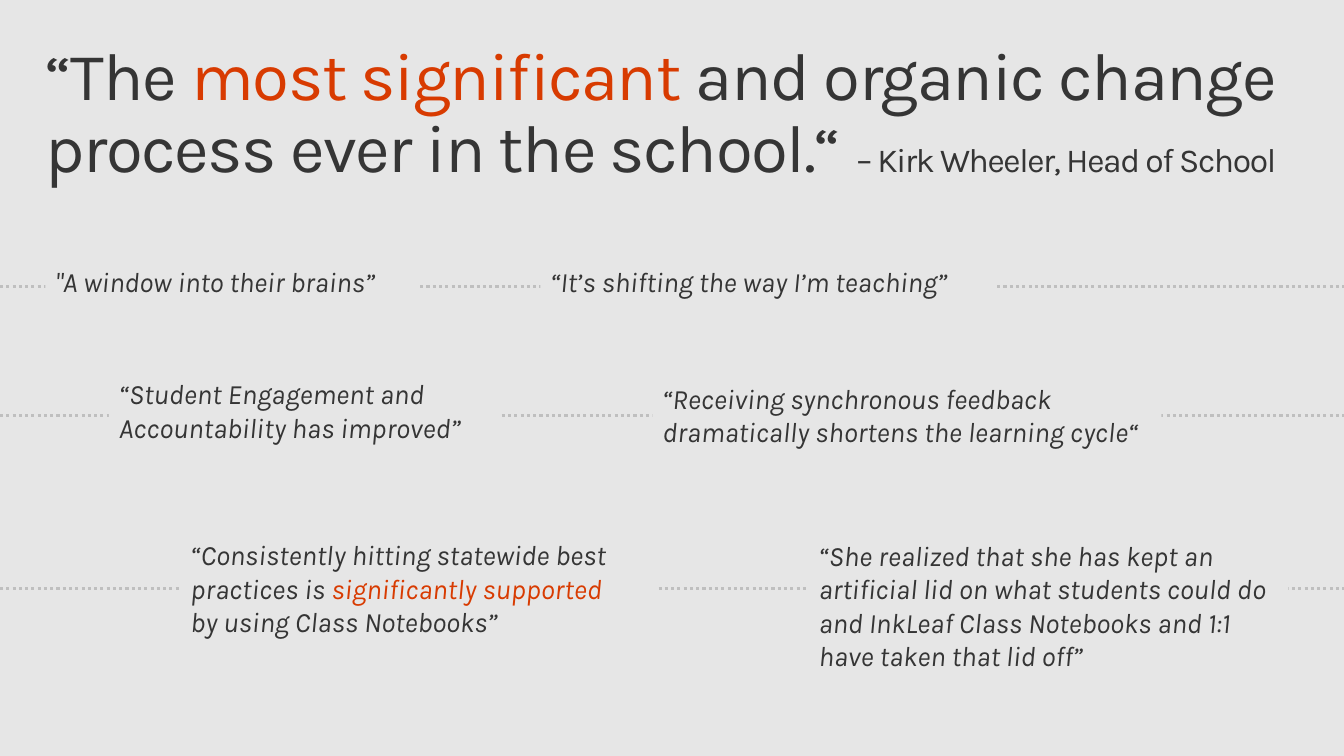
from lxml import etree
from pptx import Presentation
from pptx.dml.color import RGBColor
from pptx.enum import dml, shapes, text
from pptx.oxml import ns
from pptx.util import Inches, Pt

FONT = "Karla"
DARK = RGBColor(0x35, 0x35, 0x35)
ACCENT = RGBColor(0xD8, 0x3B, 0x01)
BACKGROUND = RGBColor(0xE6, 0xE6, 0xE6)
RULE = RGBColor(0xBF, 0xBF, 0xBF)

SLIDE_WIDTH = 13.33
RULE_HEIGHTS = (2.84, 4.12, 5.84)
TOP, MIDDLE = text.MSO_ANCHOR.TOP, text.MSO_ANCHOR.MIDDLE

HEADLINE = [
    ("“The ", DARK, 48),
    ("most significant ", ACCENT, 48),
    ("and organic\u00a0change process ever in the school.“ ", DARK, 48),
    ("– Kirk Wheeler, Head of School", DARK, 24),
]

QUOTES = [
    ((0.45, 2.57, 3.7, 0.44), MIDDLE, [("\"A window into their brains”", DARK)]),
    ((5.36, 2.57, 4.51, 0.44), MIDDLE, [("“It’s shifting the way I’m teaching”", DARK)]),
    ((1.08, 3.69, 3.88, 0.77), TOP,
     [("“Student Engagement and Accountability has improved”", DARK)]),
    ((6.47, 3.73, 5.05, 0.77), MIDDLE,
     [("“Receiving synchronous feedback dramatically shortens the learning cycle“", DARK)]),
    ((1.79, 5.28, 4.71, 1.11), MIDDLE,
     [("“Consistently hitting statewide best practices is ", DARK),
      ("significantly supported", ACCENT),
      ("\nby using Class Notebooks”", DARK)]),
    ((8.02, 5.28, 4.76, 1.45), MIDDLE,
     [("“She realized that she has kept an artificial lid on what students could do "
       "and InkLeaf Class Notebooks and 1:1 have taken that lid off”", DARK)]),
]


def add_run(paragraph, words, color, size, italic=False):
    if words.startswith("\n"):
        paragraph.add_line_break()
    run = paragraph.add_run()
    run.text = words.lstrip("\n")
    run.font.name = FONT
    run.font.size = Pt(size)
    run.font.italic = italic
    run.font.color.rgb = color
    return run


def add_headline(slide):
    title = slide.shapes.title
    title.left, title.top = Inches(0.29), Inches(0.32)
    title.width, title.height = Inches(12.75), Inches(0.98)
    frame = title.text_frame
    frame.word_wrap = True
    frame.auto_size = text.MSO_AUTO_SIZE.NONE
    frame.vertical_anchor = TOP
    frame.margin_left = frame.margin_right = Inches(0.16)
    frame.margin_top = frame.margin_bottom = Inches(0.1)
    paragraph = frame.paragraphs[0]
    paragraph.alignment = text.PP_ALIGN.LEFT
    paragraph.line_spacing = 0.9
    for words, color, size in HEADLINE:
        run = add_run(paragraph, words, color, size)
        run.font._element.set("spc", "-100")


def add_dotted_rule(slide, height):
    rule = slide.shapes.add_connector(
        shapes.MSO_CONNECTOR.STRAIGHT,
        Inches(0), Inches(height), Inches(SLIDE_WIDTH), Inches(height))
    rule.line.color.rgb = RULE
    rule.line.width = Pt(2.25)
    rule.line.dash_style = dml.MSO_LINE.ROUND_DOT
    etree.SubElement(rule._element.spPr, ns.qn("a:effectLst"))


def add_quote(slide, box, anchor, runs):
    shape = slide.shapes.add_shape(
        shapes.MSO_SHAPE.RECTANGLE, *(Inches(length) for length in box))
    shape.shadow.inherit = False
    shape.fill.solid()
    shape.fill.fore_color.rgb = BACKGROUND
    shape.line.fill.background()
    frame = shape.text_frame
    frame.word_wrap = True
    frame.auto_size = text.MSO_AUTO_SIZE.SHAPE_TO_FIT_TEXT
    frame.vertical_anchor = anchor
    paragraph = frame.paragraphs[0]
    paragraph.alignment = text.PP_ALIGN.LEFT
    for words, color in runs:
        add_run(paragraph, words, color, 20, italic=True)


def main():
    presentation = Presentation()
    presentation.slide_width = Inches(SLIDE_WIDTH)
    presentation.slide_height = Inches(7.5)
    slide = presentation.slides.add_slide(presentation.slide_layouts[5])
    slide.background.fill.solid()
    slide.background.fill.fore_color.rgb = BACKGROUND
    add_headline(slide)
    for height in RULE_HEIGHTS:
        add_dotted_rule(slide, height)
    for box, anchor, runs in QUOTES:
        add_quote(slide, box, anchor, runs)
    presentation.save("out.pptx")


if __name__ == "__main__":
    main()
